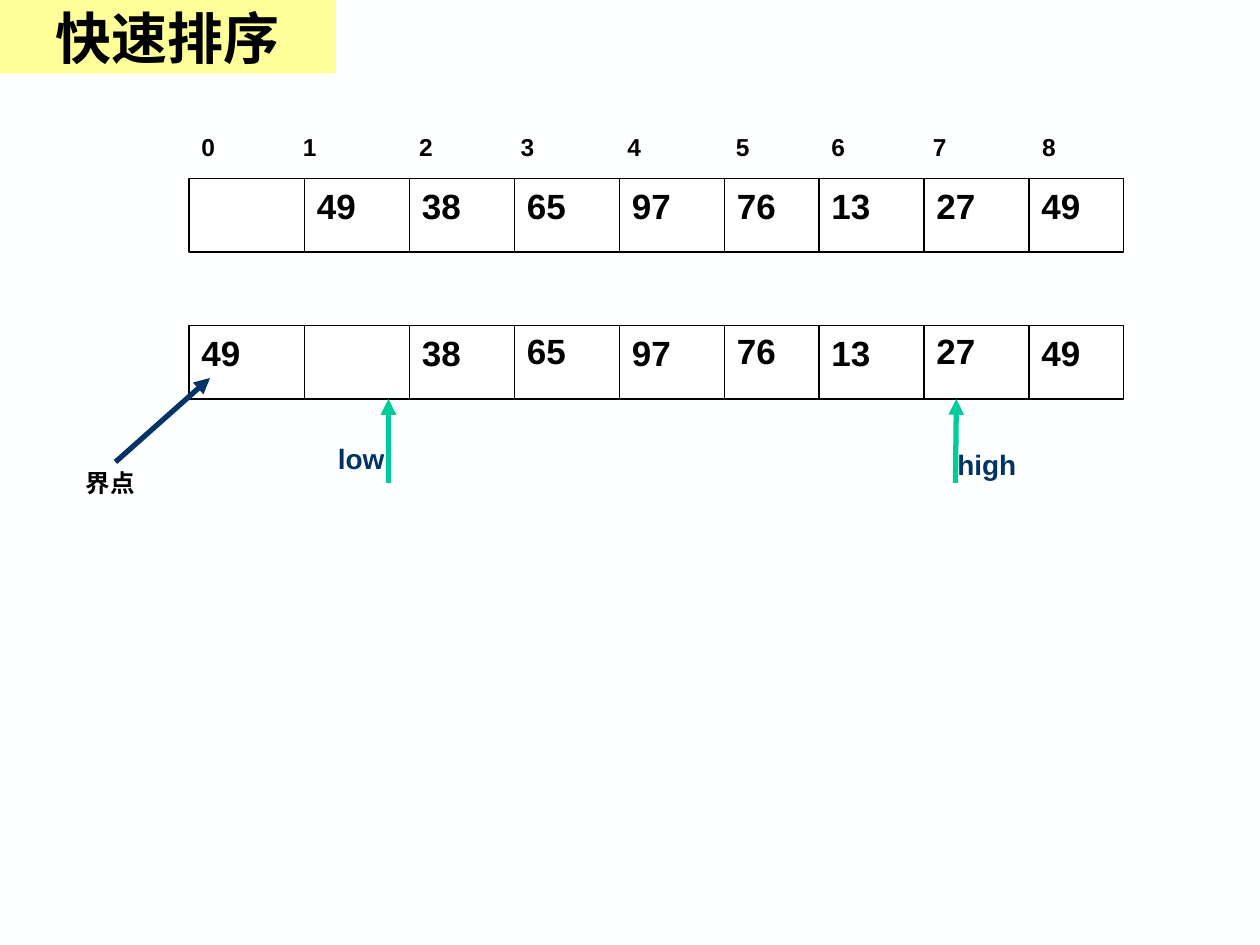
"""Build a quicksort slide showing the array before and after the pivot moves to slot 0."""
from dataclasses import dataclass

from lxml.etree import SubElement
from pptx import Presentation
from pptx.dml.color import RGBColor
from pptx.enum.shapes import MSO_CONNECTOR, MSO_SHAPE
from pptx.enum.text import MSO_ANCHOR, MSO_AUTO_SIZE, PP_ALIGN
from pptx.oxml.ns import qn
from pptx.slide import Slide
from pptx.text.text import _Paragraph
from pptx.util import Pt

BLACK = RGBColor(0x00, 0x00, 0x00)
WHITE = RGBColor(0xFF, 0xFF, 0xFF)
PAPER = RGBColor(0xFE, 0xFF, 0xFF)
YELLOW = RGBColor(0xFF, 0xFF, 0x99)
GREEN = RGBColor(0x00, 0xCC, 0x99)
NAVY = RGBColor(0x00, 0x33, 0x66)

EDGES = (108, 174, 234, 294, 354, 414, 468, 528, 588, 642)
LEFT, WIDTH = EDGES[0], EDGES[-1] - EDGES[0]
HEIGHT = 42
STOPS = (58, 124.5, 182.5, 243.5, 305.5, 360, 418, 480.5)


@dataclass(frozen=True)
class Row:
    top: float
    cells: tuple[str, ...]
    raised: tuple[int, ...] = ()


@dataclass(frozen=True)
class Label:
    text: str
    left: float
    top: float
    width: float
    height: float
    size: float
    color: RGBColor = BLACK


@dataclass(frozen=True)
class Line:
    start: tuple[float, float]
    end: tuple[float, float]
    color: RGBColor = BLACK
    width: float = 0.75
    arrow: bool = False


ROWS = (
    Row(186, ("49", "", "38", "65", "97", "76", "13", "27", "49"), (3, 5, 7)),
    Row(102, ("", "49", "38", "65", "97", "76", "13", "27", "49")),
)
LABELS = (
    Label("high", 540, 252, 66, 26.6, 16, NAVY),
    Label("low", 186, 249, 66, 26.6, 16, NAVY),
    Label("界点", 42, 264, 60, 24.2, 14),
)
ARROWS = (
    Line((546, 276), (546.5, 228), GREEN, 3, True),
    Line((222, 276), (222, 228), GREEN, 3, True),
    Line((66, 264), (120, 216), NAVY, 3, True),
)


def add_run(para: _Paragraph, text: str, size: float, color: RGBColor, face: str = "Arial") -> None:
    run = para.add_run()
    run.text = text
    run.font.name = face
    run.font.size = Pt(size)
    run.font.bold = True
    run.font.color.rgb = color


def add_line(slide: Slide, line: Line) -> None:
    ends = [Pt(value) for value in line.start + line.end]
    shape = slide.shapes.add_connector(MSO_CONNECTOR.STRAIGHT, *ends)
    shape.line.color.rgb = line.color
    shape.line.width = Pt(line.width)
    props = shape._element.spPr
    if line.arrow:
        SubElement(props.find(qn("a:ln")), qn("a:tailEnd"), type="triangle")
    SubElement(props, qn("a:effectLst"))


def add_label(slide: Slide, label: Label) -> _Paragraph:
    box = slide.shapes.add_textbox(
        Pt(label.left), Pt(label.top), Pt(label.width), Pt(label.height))
    frame = box.text_frame
    frame.word_wrap = True
    frame.auto_size = MSO_AUTO_SIZE.SHAPE_TO_FIT_TEXT
    para = frame.paragraphs[0]
    if label.text:
        add_run(para, label.text, label.size, label.color)
    return para


def add_grid(slide: Slide, row: Row) -> None:
    frame = slide.shapes.add_shape(
        MSO_SHAPE.RECTANGLE, Pt(LEFT), Pt(row.top), Pt(WIDTH), Pt(HEIGHT))
    frame.shadow.inherit = False
    frame.fill.solid()
    frame.fill.fore_color.rgb = WHITE
    frame.line.color.rgb = BLACK
    frame.line.width = Pt(0.75)
    for edge in EDGES[1:-1]:
        add_line(slide, Line((edge, row.top), (edge, row.top + HEIGHT)))


def add_cells(slide: Slide, row: Row) -> None:
    for index, (left, text) in enumerate(zip(EDGES, row.cells)):
        if text:
            top = row.top - (index in row.raised)
            add_label(slide, Label(text, left, top, 48, 31.5, 20))


def add_index(slide: Slide) -> None:
    para = add_label(slide, Label("", LEFT, 72, WIDTH, 24.2, 14))
    tabs = SubElement(para._p.get_or_add_pPr(), qn("a:tabLst"))
    for stop in STOPS:
        SubElement(tabs, qn("a:tab"), pos=str(Pt(stop)), algn="l")
    add_run(para, "\t".join(str(n) for n in range(9)), 14, BLACK)


def add_title(slide: Slide) -> None:
    title = slide.shapes.title
    title.left, title.top, title.width, title.height = Pt(0), Pt(0), Pt(192), Pt(HEIGHT)
    title.fill.solid()
    title.fill.fore_color.rgb = YELLOW
    frame = title.text_frame
    frame.auto_size = MSO_AUTO_SIZE.NONE
    frame.vertical_anchor = MSO_ANCHOR.MIDDLE
    para = frame.paragraphs[0]
    para.alignment = PP_ALIGN.CENTER
    add_run(para, "快速排序", 32, BLACK, "Times New Roman")


def main() -> None:
    deck = Presentation()
    deck.slide_width, deck.slide_height = Pt(720), Pt(540)
    slide = deck.slides.add_slide(deck.slide_layouts[5])
    slide.background.fill.solid()
    slide.background.fill.fore_color.rgb = PAPER
    add_title(slide)
    for row in ROWS:
        add_grid(slide, row)
    add_index(slide)
    for row in ROWS:
        add_cells(slide, row)
    for arrow in ARROWS:
        add_line(slide, arrow)
    for label in LABELS:
        add_label(slide, label)
    deck.save("out.pptx")


if __name__ == "__main__":
    main()
